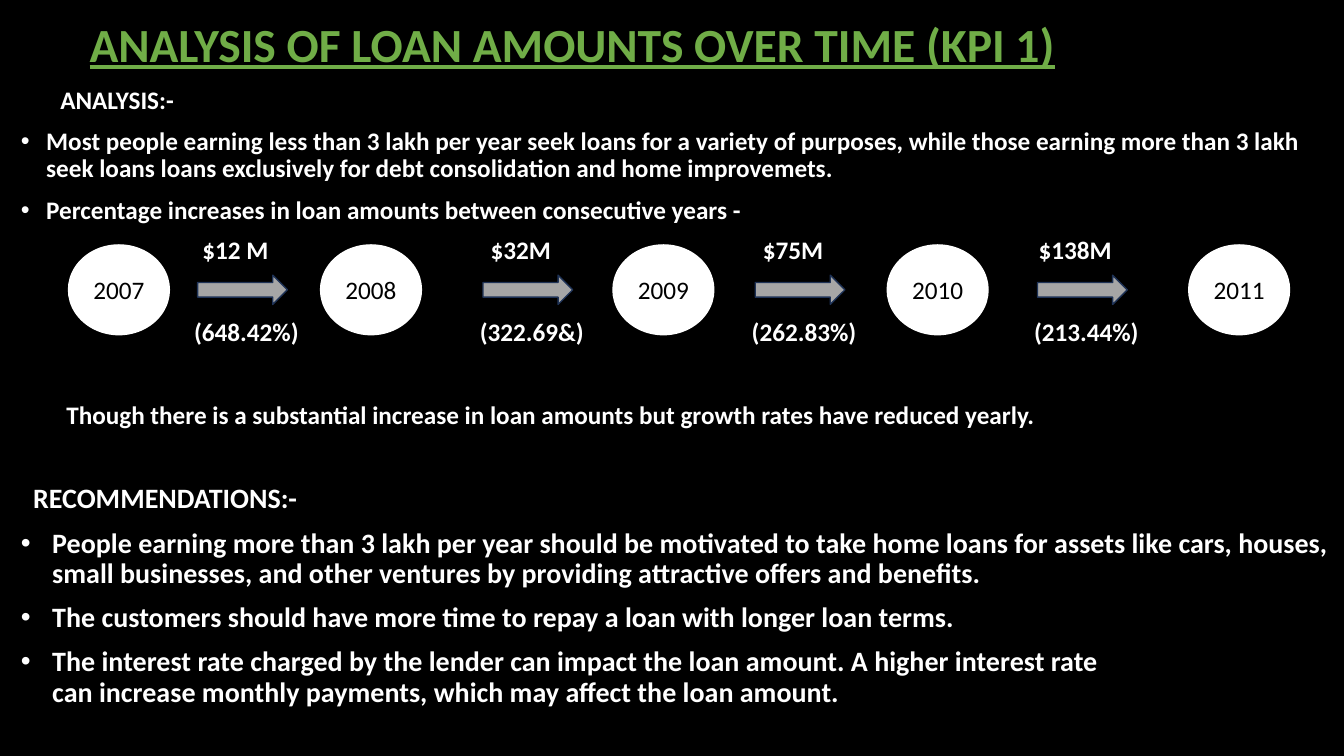
from lxml.etree import SubElement
from pptx import Presentation
from pptx.dml.color import RGBColor
from pptx.enum.shapes import MSO_SHAPE
from pptx.enum.text import MSO_ANCHOR, PP_ALIGN
from pptx.oxml.ns import qn
from pptx.util import Inches, Pt

BLACK = RGBColor(0x00, 0x00, 0x00)
WHITE = RGBColor(0xFF, 0xFF, 0xFF)
GREEN = RGBColor(0x70, 0xAD, 0x47)
GREY = RGBColor(0xA6, 0xA6, 0xA6)
NAVY = RGBColor(0x1E, 0x32, 0x56)
FONT = "Calibri"
NO_BREAK_SPACE = chr(160)

YEARS = [("2007", 0.68), ("2008", 3.18), ("2009", 6.08), ("2010", 8.8), ("2011", 11.79)]
# Arrow left edge, amount above it, growth rate below it
STEPS = [
    (1.96, "$12 M", "(648.42%)"),
    (4.79, "$32M", "(322.69&)"),
    (7.49, "$75M", "(262.83%)"),
    (10.29, "$138M", "(213.44%)"),
]
ARROW_WIDTH = 0.89
LABEL_WIDTH = 1.4

FINDINGS = [
    "Most people earning less than 3 lakh per year seek loans for a variety of purposes, "
    "while those earning more than 3 lakh seek loans loans exclusively for debt "
    "consolidation and home improvemets.",
    "Percentage increases in loan amounts between consecutive years -",
]
CONCLUSION = (
    "Though there is a substantial increase in loan amounts but growth rates "
    "have reduced yearly."
)
RECOMMENDATIONS = [
    "People earning more than 3 lakh per year should be motivated to take home loans for "
    "assets like cars, houses, small businesses, and other ventures by providing "
    "attractive offers and benefits.",
    "The customers should have more time to repay a loan with longer loan terms.",
    "The interest rate charged by the lender can impact the loan amount. "
    "A higher interest rate "
    + "can increase monthly payments,".replace(" ", NO_BREAK_SPACE)
    + " which may affect the loan amount.",
]


def add_text_frame(slide, left, top, width, height):
    box = slide.shapes.add_textbox(Inches(left), Inches(top), Inches(width), Inches(height))
    box.text_frame.word_wrap = True
    return box.text_frame


def write(paragraph, text, size, color=WHITE, bold=True, underline=False):
    paragraph.line_spacing = 0.9
    run = paragraph.add_run()
    run.text = text
    font = run.font
    font.name = FONT
    font.size = Pt(size)
    font.bold = bold
    font.underline = underline
    font.color.rgb = color


def set_indent(paragraph, margin, first_line=0.0):
    properties = paragraph._p.get_or_add_pPr()
    properties.set("marL", str(Inches(margin)))
    properties.set("indent", str(Inches(first_line)))
    return properties


def add_section(slide, top, height, heading, heading_indent, bullets, hanging, size):
    """Add a heading followed by its bulleted points."""
    frame = add_text_frame(slide, 0.11, top, 13.22, height)
    set_indent(frame.paragraphs[0], heading_indent)
    write(frame.paragraphs[0], heading, size)
    for text in bullets:
        paragraph = frame.add_paragraph()
        paragraph.space_before = Pt(10)
        write(paragraph, text, size)
        properties = set_indent(paragraph, hanging, -hanging)
        SubElement(properties, qn("a:buFont"), typeface="Arial")
        SubElement(properties, qn("a:buChar"), char="•")


def add_line_of_text(slide, left, top, width, text, alignment=PP_ALIGN.LEFT, **style):
    frame = add_text_frame(slide, left, top, width, 0.38)
    paragraph = frame.paragraphs[0]
    paragraph.alignment = alignment
    write(paragraph, text, **style)


def add_filled_shape(slide, kind, left, top, width, height, fill, line):
    shape = slide.shapes.add_shape(
        kind, Inches(left), Inches(top), Inches(width), Inches(height)
    )
    shape.shadow.inherit = False
    shape.fill.solid()
    shape.fill.fore_color.rgb = fill
    shape.line.color.rgb = line
    shape.line.width = Pt(1)
    return shape


def add_year(slide, year, left):
    circle = add_filled_shape(slide, MSO_SHAPE.OVAL, left, 2.43, 1, 0.89, WHITE, WHITE)
    frame = circle.text_frame
    frame.vertical_anchor = MSO_ANCHOR.MIDDLE
    paragraph = frame.paragraphs[0]
    paragraph.alignment = PP_ALIGN.CENTER
    write(paragraph, year, 18, color=BLACK, bold=False)
    paragraph.line_spacing = 1.0


def add_step(slide, left, amount, growth):
    """Add the arrow between two years with its amount and growth rate."""
    add_filled_shape(
        slide, MSO_SHAPE.RIGHT_ARROW, left, 2.73, ARROW_WIDTH, 0.29, GREY, NAVY
    )
    label_left = left + (ARROW_WIDTH - LABEL_WIDTH) / 2
    for text, shift, top in ((amount, -0.07, 2.31), (growth, 0.04, 3.12)):
        add_line_of_text(
            slide, label_left + shift, top, LABEL_WIDTH, text, PP_ALIGN.CENTER, size=18
        )


def main():
    presentation = Presentation()
    presentation.slide_width = Inches(13.33)
    presentation.slide_height = Inches(7.5)
    slide = presentation.slides.add_slide(presentation.slide_layouts[6])
    slide.background.fill.solid()
    slide.background.fill.fore_color.rgb = BLACK

    add_line_of_text(
        slide, 0.79, 0.16, 11.5, "ANALYSIS OF LOAN AMOUNTS OVER TIME (KPI 1)",
        size=34, color=GREEN, underline=True,
    )
    add_section(slide, 0.82, 1.5, "ANALYSIS:-", 0.39, FINDINGS, 0.25, 18)
    for year, left in YEARS:
        add_year(slide, year, left)
    for left, amount, growth in STEPS:
        add_step(slide, left, amount, growth)
    add_line_of_text(slide, 0.56, 3.95, 11, CONCLUSION, size=18)
    add_section(slide, 4.76, 2.5, "RECOMMENDATIONS:-", 0.12, RECOMMENDATIONS, 0.31, 20)

    presentation.save("out.pptx")


if __name__ == "__main__":
    main()
